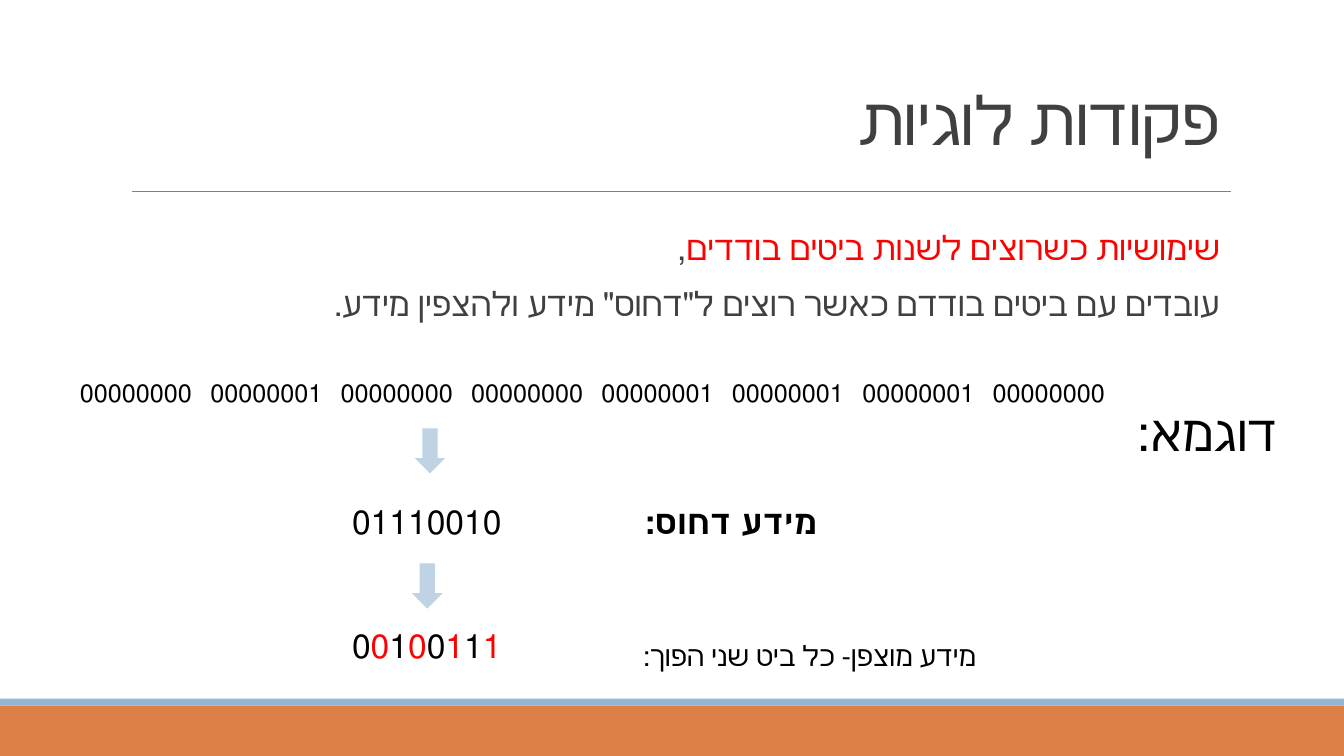
import dataclasses

import lxml.etree
import pptx
import pptx.dml.color
import pptx.enum.shapes
import pptx.enum.text
import pptx.oxml.ns
import pptx.util

Pt = pptx.util.Pt
Align = pptx.enum.text.PP_ALIGN
Anchor = pptx.enum.text.MSO_ANCHOR
Kind = pptx.enum.shapes.MSO_SHAPE
qn = pptx.oxml.ns.qn


@dataclasses.dataclass(frozen=True)
class Theme:
    ink: str = "000000"
    gray: str = "404040"
    red: str = "FF0000"
    rule: str = "808080"
    orange: str = "DD8047"
    blue: str = "94B6D2"
    pale: str = "BFD3E4"
    hebrew: str = "Calibri"
    digits: str = "Arial"
    title: int = 48
    label: int = 36
    body: int = 24
    note: int = 20
    row: int = 18


theme = Theme()


def tint(code):
    return pptx.dml.color.RGBColor.from_string(code)


def write(slide, box, lines, size, font=theme.hebrew, color=theme.ink, bold=False,
          align=Align.RIGHT, anchor=Anchor.TOP, pitch=None, before=0, after=0, track=0):
    """Each line is a string or a list of (text, color, tracking) runs."""
    frame = slide.shapes.add_textbox(*map(Pt, box)).text_frame
    frame.word_wrap = True
    frame.vertical_anchor = anchor
    for index, line in enumerate(lines):
        para = frame.add_paragraph() if index else frame.paragraphs[0]
        para.alignment = align
        para.line_spacing = pitch
        para.space_before, para.space_after = Pt(before), Pt(after)
        para._p.get_or_add_pPr().set("rtl", "1")
        runs = [(line, color, track)] if isinstance(line, str) else line
        for text, shade, gap in runs:
            run = para.add_run()
            run.text = text
            run.font.size, run.font.bold, run.font.name = Pt(size), bold, font
            run.font.color.rgb = tint(shade)
            props = run._r.get_or_add_rPr()
            props.set("kern", "0")
            if gap:
                props.set("spc", str(int(gap * 100)))


def block(slide, kind, box, fill):
    shape = slide.shapes.add_shape(kind, *map(Pt, box))
    shape.shadow.inherit = False
    shape.fill.solid()
    shape.fill.fore_color.rgb = tint(fill)
    shape.line.fill.background()


def footer(slide, box):
    x, y, w, h = box
    block(slide, Kind.RECTANGLE, (x, y + 5, w, h - 5), theme.orange)
    block(slide, Kind.RECTANGLE, (x, y, w, 5), theme.blue)


def header(slide, box):
    x, y, w, h = box
    line = slide.shapes.add_connector(pptx.enum.shapes.MSO_CONNECTOR.STRAIGHT,
                                      Pt(x), Pt(y + h), Pt(x + w), Pt(y + h))
    line.line.color.rgb = tint(theme.rule)
    line.line.width = Pt(0.5)
    lxml.etree.SubElement(line._element.spPr, qn("a:effectLst"))
    write(slide, (x + w - 304, y, 303.5, 65.5), ["פקודות לוגיות"], theme.title,
          color=theme.gray, anchor=Anchor.BOTTOM, pitch=0.85, track=-0.5)


def intro(slide, box):
    lines = [
        [("שימושיות כשרוצים לשנות ביטים בודדים", theme.red, 0), (",", theme.gray, 0)],
        'עובדים עם ביטים בודדם כאשר רוצים ל"דחוס" מידע ולהצפין מידע.',
    ]
    write(slide, box, lines, theme.body, color=theme.gray, pitch=0.9, before=12, after=2)


def demo(slide, box):
    """Bytes holding one bit each, packed into one byte and then encrypted."""
    x, y, w, h = box
    packed, coded = "01110010", "00100111"
    runs = []
    for bit in packed:
        if runs:
            runs.append((" ", theme.ink, 8.6))
        runs.append((bit.zfill(8), theme.ink, 0))
    write(slide, (x, y, w, 29), [runs], theme.row, font=theme.digits)

    flips = [(bit, theme.red if place % 2 else theme.ink, 0)
             for place, bit in enumerate(coded)]
    for drop, left, top, line in ((40.3, 266, 88.5, packed), (136.8, 264, 177.2, flips)):
        block(slide, Kind.DOWN_ARROW, (x + left, y + drop, 22, 32.2), theme.pale)
        write(slide, (x + 202.3, y + top, 144.7, 36), [line], theme.body,
              font=theme.digits, align=Align.CENTER)

    write(slide, (x + 399.6, y + 88.5, 185.8, 49), ["מידע דחוס:"], theme.body,
          bold=True, align=Align.CENTER)
    write(slide, (x + 378.7, y + 186.5, 339, 42.5), ["מידע מוצפן- כל ביט שני הפוך:"],
          theme.note, align=Align.CENTER)
    write(slide, (x + w - 62, y + 17.3, 185.8, 51), ["דוגמא:"], theme.label)


def main():
    deck = pptx.Presentation()
    deck.slide_width, deck.slide_height = Pt(960), Pt(540)
    slide = deck.slides.add_slide(deck.slide_layouts[6])
    footer(slide, (0, 499, 960, 41))
    header(slide, (94.3, 51.8, 784.7, 85))
    intro(slide, (99.4, 162, 779, 93.6))
    demo(slide, (30.2, 265.7, 766, 229))
    deck.save("out.pptx")


if __name__ == "__main__":
    main()
